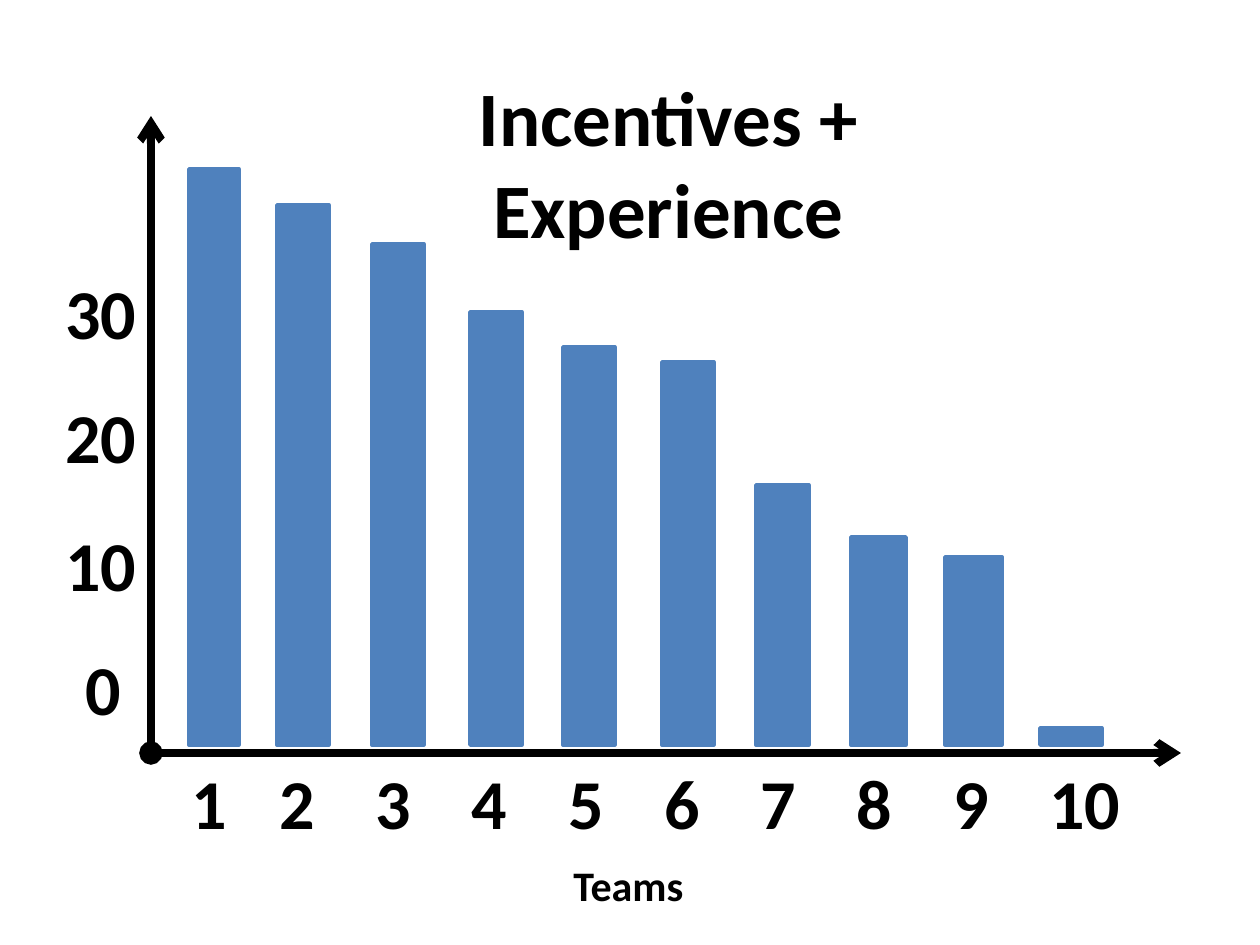
from pptx import Presentation
from pptx.dml.color import RGBColor
from pptx.enum.shapes import MSO_CONNECTOR, MSO_SHAPE
from pptx.enum.text import MSO_ANCHOR, MSO_AUTO_SIZE, PP_ALIGN
from pptx.oxml.ns import qn
from pptx.util import Pt
from lxml import etree

STRAIGHT = MSO_CONNECTOR.STRAIGHT
RECTANGLE = MSO_SHAPE.RECTANGLE
TOP = MSO_ANCHOR.TOP
NO_FIT = MSO_AUTO_SIZE.NONE
GROW = MSO_AUTO_SIZE.SHAPE_TO_FIT_TEXT
CENTER = PP_ALIGN.CENTER

PX = 914400 / 126
TITLE_ONLY = 5
FONT = "Calibri"
COLORS = {"ink": "000000", "bar": "4F81BD"}

# Bars as (left, top, width), all standing on one baseline
BASELINE = 745
BARS = [
    (189, 169, 50), (277, 205, 52), (372, 244, 52), (470, 312, 52),
    (563, 347, 52), (662, 362, 52), (756, 485, 53), (851, 537, 55),
    (945, 557, 57), (1040, 728, 62),
]

# Scale labels as (text, left, top)
SCALE = [("0", 73, 639), ("10", 53, 515), ("20", 53, 387), ("30", 53, 263)]

# Team numbers: the first stands alone, the others are evenly spaced
TEAM_TOP = 753
FIRST_TEAM, SECOND_TEAM, TEAM_STEP = 179, 267, 96.25


def emu(*lengths):
    return [round(length * PX) for length in lengths]


def color(name):
    return RGBColor.from_string(COLORS[name])


def style_text(paragraph, size):
    font = paragraph.runs[0].font
    font.name = FONT
    font.size = Pt(size)
    font.bold = True
    font.color.rgb = color("ink")


def add_title(slide, text, left, top, width, height):
    title = slide.shapes.title
    title.left, title.top, title.width, title.height = emu(left, top, width, height)
    frame = title.text_frame
    frame.text = text
    frame.word_wrap = True
    frame.auto_size = NO_FIT
    frame.vertical_anchor = TOP
    frame.paragraphs[0].alignment = CENTER
    style_text(frame.paragraphs[0], 44)


def add_label(slide, text, left, top, width, height, size=40):
    label = slide.shapes.add_textbox(*emu(left, top, width, height))
    frame = label.text_frame
    frame.text = text
    frame.word_wrap = False
    frame.auto_size = GROW
    style_text(frame.paragraphs[0], size)


def add_number(slide, text, left, top):
    add_label(slide, text, left, top, 62 if len(text) == 1 else 97, 97)


def add_axis(slide, start, end, **ends):
    axis = slide.shapes.add_connector(STRAIGHT, *emu(*start, *end))
    axis.line.width = Pt(4.5)
    axis.line.color.rgb = color("ink")
    outline = axis.line._get_or_add_ln()
    for tag, kind in ends.items():
        etree.SubElement(outline, qn(f"a:{tag}"), type=kind)
    etree.SubElement(axis._element.spPr, qn("a:effectLst"))


def add_bar(slide, left, top, width):
    bar = slide.shapes.add_shape(RECTANGLE, *emu(left, top, width, BASELINE - top))
    bar.shadow.inherit = False
    bar.fill.solid()
    bar.fill.fore_color.rgb = color("bar")
    bar.line.color.rgb = color("bar")
    bar.line.width = Pt(2)


def main():
    presentation = Presentation()
    presentation.slide_width, presentation.slide_height = emu(1260, 945)
    slide = presentation.slides.add_slide(presentation.slide_layouts[TITLE_ONLY])

    add_title(slide, "Incentives + Experience", 296, 63, 745, 106)

    # Axes
    add_axis(slide, (151, 753), (1181, 753), headEnd="oval", tailEnd="arrow")
    add_axis(slide, (151, 756), (151, 116), tailEnd="arrow")
    for text, left, top in SCALE:
        add_number(slide, text, left, top)

    # Bars with their team numbers
    for index, bar in enumerate(BARS):
        add_bar(slide, *bar)
        team_left = SECOND_TEAM + (index - 1) * TEAM_STEP if index else FIRST_TEAM
        add_number(slide, str(index + 1), team_left, TEAM_TOP)

    add_label(slide, "Teams", 561, 853, 136, 63, size=24)

    presentation.save("out.pptx")


if __name__ == "__main__":
    main()
